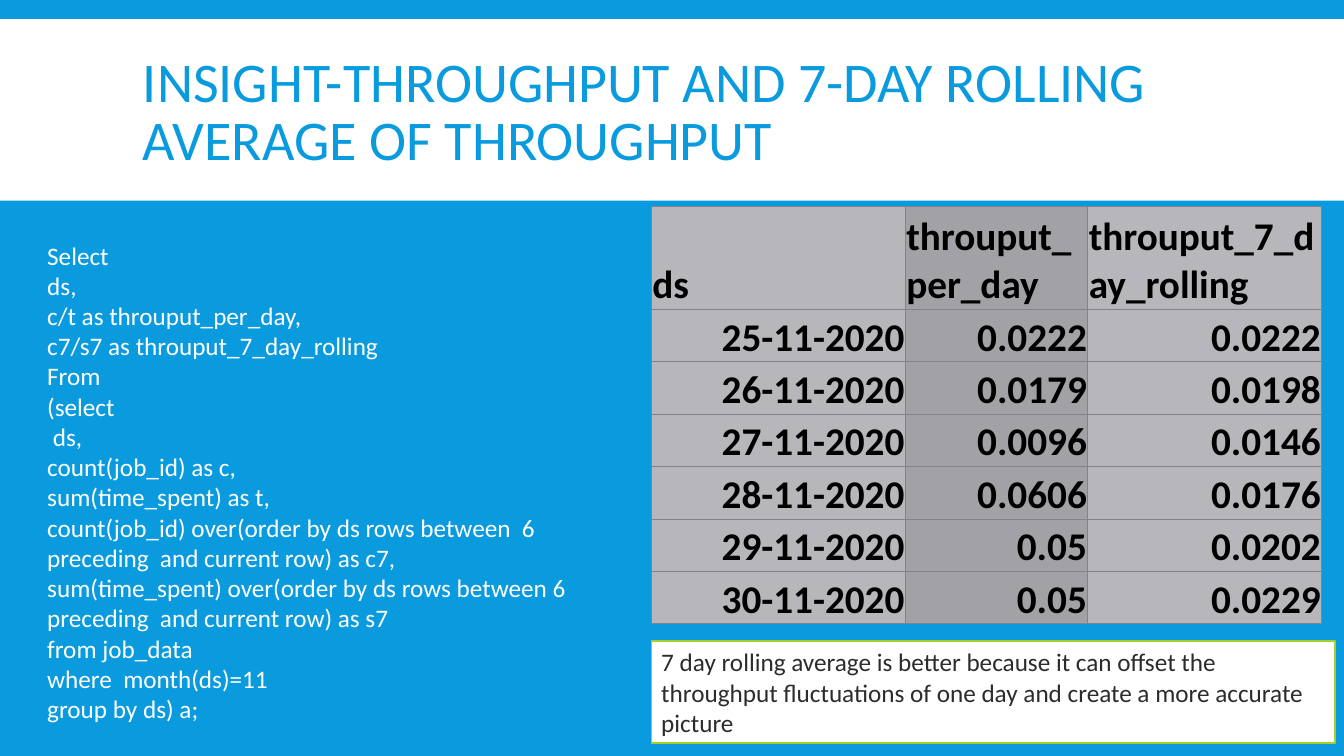
from lxml import etree
from pptx import Presentation
from pptx.dml.color import RGBColor
from pptx.enum.shapes import MSO_SHAPE
from pptx.enum.text import MSO_ANCHOR, PP_ALIGN
from pptx.oxml.ns import qn
from pptx.util import Inches, Pt

RECTANGLE = MSO_SHAPE.RECTANGLE
TOP, MIDDLE, BOTTOM = MSO_ANCHOR.TOP, MSO_ANCHOR.MIDDLE, MSO_ANCHOR.BOTTOM
LEFT, RIGHT = PP_ALIGN.LEFT, PP_ALIGN.RIGHT

TITLE = "INSIGHT-THROUGHPUT AND 7-DAY ROLLING AVERAGE OF THROUGHPUT"
QUERY = [
    "Select",
    "ds,",
    "c/t as throuput_per_day,",
    "c7/s7 as throuput_7_day_rolling",
    "From",
    "(select",
    " ds,",
    "count(job_id) as c,",
    "sum(time_spent) as t,",
    "count(job_id) over(order by ds rows between  6 preceding  and current row) as c7,",
    "sum(time_spent) over(order by ds rows between 6 preceding  and current row) as s7",
    "from job_data",
    "where  month(ds)=11",
    "group by ds) a;",
]
THROUGHPUT = [
    ("ds", "throuput_per_day", "throuput_7_day_rolling"),
    ("25-11-2020", "0.0222", "0.0222"),
    ("26-11-2020", "0.0179", "0.0198"),
    ("27-11-2020", "0.0096", "0.0146"),
    ("28-11-2020", "0.0606", "0.0176"),
    ("29-11-2020", "0.05", "0.0202"),
    ("30-11-2020", "0.05", "0.0229"),
]
CONCLUSION = ("7 day rolling average is better because it can offset the throughput "
              "fluctuations of one day and create a more accurate picture")

COLORS = {
    "blue": "099BDD", "white": "FFFFFF", "black": "000000", "ink": "2C2C2C",
    "green": "A5D028", "border": "828288", "cell": "B7B6BB", "middle_cell": "A2A1A6",
}
FONT = "Calibri"
WIDTH, HEIGHT = 13.33, 7.5
RIGHT_COLUMN = 6.46
COLUMN_WIDTHS = (2.52, 1.81, 2.32)
COLUMN_FILLS = ("cell", "middle_cell", "cell")
ROW_HEIGHTS = [1.02] + [0.52] * (len(THROUGHPUT) - 1)


def color(name):
    return RGBColor.from_string(COLORS[name])


def box(*lengths):
    return [Inches(length) for length in lengths]


def write(frame, *lines, size=18, ink="white", bold=False, align=LEFT, spacing=1.0):
    frame.word_wrap = True
    for index, line in enumerate(lines):
        paragraph = frame.add_paragraph() if index else frame.paragraphs[0]
        paragraph.alignment = align
        paragraph.line_spacing = spacing
        run = paragraph.add_run()
        run.text = line
        run.font.name = FONT
        run.font.size = Pt(size)
        run.font.bold = bold
        run.font.color.rgb = color(ink)


def add_panel(slide, *place, line=None):
    panel = slide.shapes.add_shape(RECTANGLE, *box(*place))
    panel.shadow.inherit = False
    panel.fill.solid()
    panel.fill.fore_color.rgb = color("white")
    if line:
        panel.line.color.rgb = color(line)
        panel.line.width = Pt(1)
    else:
        panel.line.fill.background()
    return panel


def add_text(slide, *place, anchor=TOP):
    frame = slide.shapes.add_textbox(*box(*place)).text_frame
    frame.vertical_anchor = anchor
    return frame


def add_borders(cell):
    properties = cell._tc.get_or_add_tcPr()
    for side in ("lnL", "lnR", "lnT", "lnB"):
        border = etree.SubElement(properties, qn(f"a:{side}"), w=str(Pt(0.75)))
        fill = etree.SubElement(border, qn("a:solidFill"))
        etree.SubElement(fill, qn("a:srgbClr"), val=COLORS["border"])


def add_throughput_table(slide):
    place = box(RIGHT_COLUMN, 2.05, sum(COLUMN_WIDTHS), sum(ROW_HEIGHTS))
    table = slide.shapes.add_table(len(THROUGHPUT), len(COLUMN_WIDTHS), *place).table
    for column, width in zip(table.columns, COLUMN_WIDTHS):
        column.width = Inches(width)
    for row, height in zip(table.rows, ROW_HEIGHTS):
        row.height = Inches(height)
    for r, values in enumerate(THROUGHPUT):
        for c, value in enumerate(values):
            cell = table.cell(r, c)
            cell.margin_left = cell.margin_right = cell.margin_top = Inches(0.01)
            cell.margin_bottom = 0
            cell.vertical_anchor = BOTTOM
            add_borders(cell)
            cell.fill.solid()
            cell.fill.fore_color.rgb = color(COLUMN_FILLS[c])
            write(cell.text_frame, value, size=28, ink="black", bold=True,
                  align=RIGHT if r else LEFT)


def main():
    deck = Presentation()
    deck.slide_width, deck.slide_height = box(WIDTH, HEIGHT)
    slide = deck.slides.add_slide(deck.slide_layouts[6])
    slide.background.fill.solid()
    slide.background.fill.fore_color.rgb = color("blue")

    add_panel(slide, 0, 0.19, WIDTH, 1.8)
    title = add_text(slide, 1.32, 0.31, 10.7, 1.65, anchor=MIDDLE)
    write(title, TITLE, size=40, ink="blue", spacing=0.85)
    add_throughput_table(slide)
    write(add_text(slide, 0.37, 2.33, 5.54, 4.95), *QUERY)
    conclusion = add_panel(slide, RIGHT_COLUMN, 6.36, 6.78, 1.01, line="green")
    write(conclusion.text_frame, CONCLUSION, ink="ink")

    deck.save("out.pptx")


if __name__ == "__main__":
    main()
